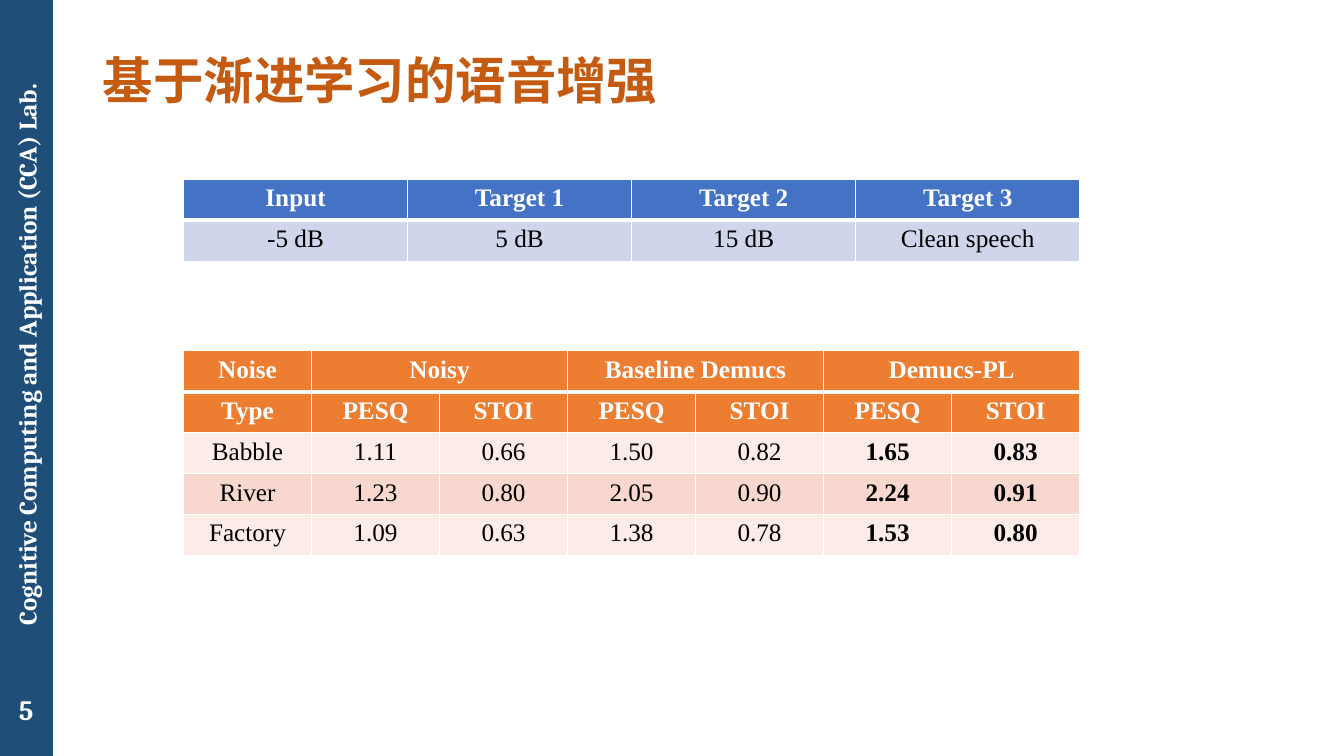
"""Build a slide with two speech-enhancement tables beside a vertical lab banner."""
import pptx
import pptx.dml.color
import pptx.enum.shapes
import pptx.enum.text
import pptx.oxml.ns
import pptx.util
from lxml import etree

Inches = pptx.util.Inches
Pt = pptx.util.Pt
RGBColor = pptx.dml.color.RGBColor
PP_ALIGN = pptx.enum.text.PP_ALIGN
MSO_ANCHOR = pptx.enum.text.MSO_ANCHOR
qn = pptx.oxml.ns.qn

NAVY = RGBColor(0x1F, 0x4E, 0x79)
RUST = RGBColor(0xC5, 0x5A, 0x11)
WHITE = RGBColor(0xFF, 0xFF, 0xFF)
BLACK = RGBColor(0, 0, 0)
BLUE = RGBColor(0x44, 0x72, 0xC4)
PALE_BLUE = RGBColor(0xCF, 0xD5, 0xEA)
ORANGE = RGBColor(0xED, 0x7D, 0x31)
PALE_ORANGE = RGBColor(0xFC, 0xEC, 0xE8)
MID_ORANGE = RGBColor(0xF8, 0xD7, 0xCE)


def add_run(p, text, size, font, color, bold=True, align=PP_ALIGN.CENTER):
    p.alignment = align
    r = p.add_run()
    r.text = text
    r.font.size = Pt(size)
    r.font.name = font
    r.font.bold = bold
    r.font.color.rgb = color
    return r


def add_grid(s, top, rows, fills, header_rows, bold_from):
    n_rows, n_cols = len(rows), len(rows[0])
    row_height = Inches(0.406)
    table = s.shapes.add_table(n_rows, n_cols, Inches(1.82), Inches(top),
                               Inches(8.89), row_height * n_rows).table
    for row in table.rows:
        row.height = row_height
    for i, values in enumerate(rows):
        for j, value in enumerate(values):
            cell = table.cell(i, j)
            tcPr = cell._tc.get_or_add_tcPr()
            widths = {"a:lnL": 1, "a:lnR": 1,
                      "a:lnT": 3 if i == 1 else 1, "a:lnB": 3 if i == 0 else 1}
            for tag, width in widths.items():
                ln = etree.SubElement(tcPr, qn(tag), w=str(Pt(width)))
                fill = etree.SubElement(ln, qn("a:solidFill"))
                etree.SubElement(fill, qn("a:srgbClr"), val=str(WHITE))
            cell.fill.solid()
            cell.fill.fore_color.rgb = fills[i]
            header = i < header_rows
            if value:
                add_run(cell.text_frame.paragraphs[0], value, 18, "Times New Roman",
                        WHITE if header else BLACK, header or j >= bold_from)
    return table


prs = pptx.Presentation()
prs.slide_width = Inches(13.33)
prs.slide_height = Inches(7.5)
s = prs.slides.add_slide(prs.slide_layouts[5])

for top, height in ((6.77, 0.73), (0, 6.77)):
    sp = s.shapes.add_shape(pptx.enum.shapes.MSO_SHAPE.RECTANGLE,
                            0, Inches(top), Inches(0.52), Inches(height))
    sp.shadow.inherit = False
    sp.fill.solid()
    sp.fill.fore_color.rgb = NAVY
    sp.line.color.rgb = NAVY
    sp.line.width = Pt(1)

banner = ("Cognitive Computing and Application (CCA) Lab.",
          -3.08, 3.32, 6.69, 0.4, 270, 18, MSO_ANCHOR.TOP)
page_number = ("5", 0, 6.78, 0.52, 0.52, 0, 20, MSO_ANCHOR.MIDDLE)
for text, left, top, width, height, rotation, size, anchor in (banner, page_number):
    sp = s.shapes.add_textbox(Inches(left), Inches(top), Inches(width), Inches(height))
    sp.rotation = rotation
    tf = sp.text_frame
    tf.word_wrap = True
    tf.vertical_anchor = anchor
    add_run(tf.paragraphs[0], text, size, "Cambria", WHITE)

title = s.shapes.title
title.left, title.top = Inches(0.92), Inches(0.31)
title.width, title.height = Inches(11.5), Inches(1.03)
tf = title.text_frame
tf.vertical_anchor = MSO_ANCHOR.MIDDLE
p = tf.paragraphs[0]
p.line_spacing = 0.9
r = add_run(p, "基于渐进学习的语音增强", 36, "Noto Sans CJK SC", RUST, align=PP_ALIGN.LEFT)
etree.SubElement(r.font._element, qn("a:ea"), typeface="Noto Sans CJK SC")

targets = [
    ["Input", "Target 1", "Target 2", "Target 3"],
    ["-5 dB", "5 dB", "15 dB", "Clean speech"],
]
add_grid(s, 1.78, targets, [BLUE, PALE_BLUE], header_rows=1, bold_from=4)

scores = [
    ["Noise", "Noisy", "", "Baseline Demucs", "", "Demucs-PL", ""],
    ["Type"] + ["PESQ", "STOI"] * 3,
    ["Babble", "1.11", "0.66", "1.50", "0.82", "1.65", "0.83"],
    ["River", "1.23", "0.80", "2.05", "0.90", "2.24", "0.91"],
    ["Factory", "1.09", "0.63", "1.38", "0.78", "1.53", "0.80"],
]
score_fills = [ORANGE, ORANGE, PALE_ORANGE, MID_ORANGE, PALE_ORANGE]
table = add_grid(s, 3.48, scores, score_fills, header_rows=2, bold_from=5)
for j in (1, 3, 5):
    table.cell(0, j).merge(table.cell(0, j + 1))

prs.save("out.pptx")
